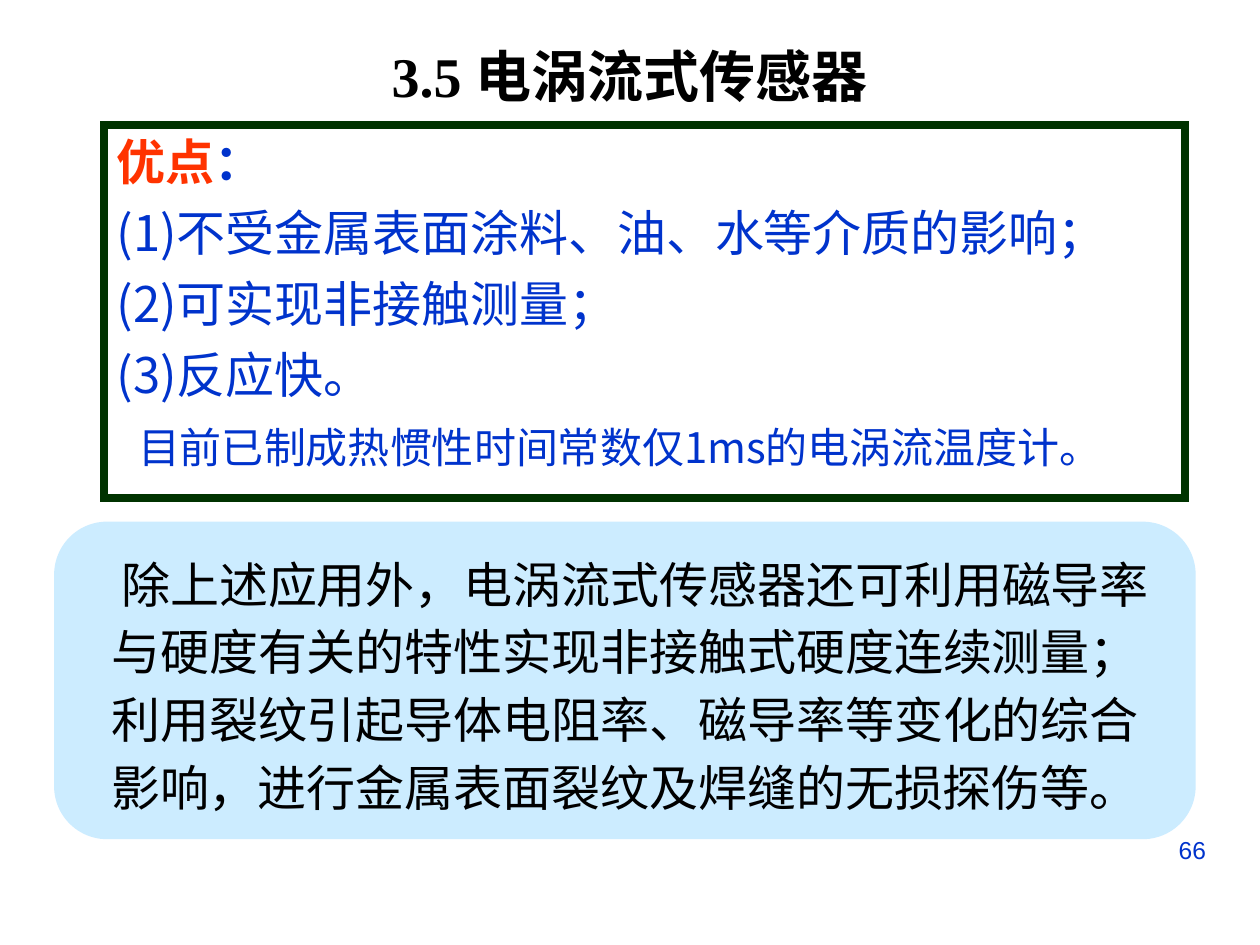
from dataclasses import dataclass

from pptx import Presentation
from pptx.dml.color import RGBColor
from pptx.enum.shapes import MSO_SHAPE
from pptx.enum.text import MSO_ANCHOR, MSO_AUTO_SIZE, PP_ALIGN
from pptx.oxml import parse_xml
from pptx.oxml.ns import nsdecls
from pptx.util import Inches, Pt


@dataclass(frozen=True)
class Theme:
    black: str = "000000"
    blue: str = "0033CC"
    red: str = "FF3300"
    green: str = "003300"
    pale_blue: str = "CCECFF"
    serif: str = "Times New Roman"
    sans: str = "Arial"
    chinese: str = "Noto Sans CJK SC"
    title: int = 32
    body: int = 28
    detail: int = 24
    number: int = 14


THEME = Theme()

# Content
TITLE = [("3.5 ", THEME.serif), ("电涡流式传感器", THEME.chinese)]
HEADING = [("优点", THEME.red), ("：", THEME.blue)]
ADVANTAGES = [
    "(1)不受金属表面涂料、油、水等介质的影响；",
    "(2)可实现非接触测量；",
    "(3)反应快。",
]
DETAIL = "目前已制成热惯性时间常数仅1ms的电涡流温度计。"
APPLICATIONS = (
    "除上述应用外，电涡流式传感器还可利用磁导率与硬度有关的特性实现非接触式硬度连续测量；"
    "利用裂纹引起导体电阻率、磁导率等变化的综合影响，进行金属表面裂纹及焊缝的无损探伤等。"
)
PAGE_NUMBER = "66"

# Places: left, top, width, height in inches
TITLE_AREA = (2.48, 0.28, 5.04, 0.64)
ADVANTAGES_AREA = (0.825, 0.99, 8.58, 2.96)
PANEL_AREA = (0.43, 4.14, 9.06, 2.52)
APPLICATIONS_AREA = (0.59, 4.28, 8.74, 2.25)
NUMBER_AREA = (7.17, 6.58, 2.5, 0.52)


def inches(area):
    return [Inches(length) for length in area]


def place(box, area):
    box.left, box.top, box.width, box.height = inches(area)


def prepare(box, side_margin=0.1):
    frame = box.text_frame
    frame.word_wrap = True
    frame.auto_size = MSO_AUTO_SIZE.NONE
    frame.vertical_anchor = MSO_ANCHOR.TOP
    frame.margin_left = frame.margin_right = Inches(side_margin)
    return frame


def format_para(para, align=PP_ALIGN.LEFT, before=0, margin=0, indent=0):
    properties = para._p.get_or_add_pPr()
    properties.set("marL", str(Inches(margin)))
    properties.set("indent", str(Inches(indent)))
    properties.append(parse_xml(f"<a:buNone {nsdecls('a')}/>"))
    para.alignment = align
    para.space_before = Pt(before)


def add_span(para, text, size, color, font, bold=False):
    span = para.add_run()
    span.text = text
    span.font.size = Pt(size)
    span.font.bold = bold
    span.font.name = font
    span.font.color.rgb = RGBColor.from_string(color)
    east_asian = f'<a:ea {nsdecls("a")} typeface="{THEME.chinese}"/>'
    span.font._element.find("{*}latin").addnext(parse_xml(east_asian))


def add_title(page):
    box = page.shapes.title
    place(box, TITLE_AREA)
    para = prepare(box).paragraphs[0]
    format_para(para, PP_ALIGN.CENTER)
    for text, font in TITLE:
        add_span(para, text, THEME.title, THEME.black, font, bold=True)


def add_advantages(page):
    box = page.placeholders[1]
    place(box, ADVANTAGES_AREA)
    box.line.color.rgb = RGBColor.from_string(THEME.green)
    box.line.width = Pt(4.5)
    # Square corners on the frame
    square_join = f'<a:miter {nsdecls("a")} lim="800000"/>'
    box.line._ln.append(parse_xml(square_join))
    frame = prepare(box)
    heading = frame.paragraphs[0]
    format_para(heading)
    for text, color in HEADING:
        add_span(heading, text, THEME.body, color, THEME.chinese, bold=True)
    for text in ADVANTAGES:
        para = frame.add_paragraph()
        format_para(para, before=7)
        add_span(para, text, THEME.body, THEME.blue, THEME.chinese)
    detail = frame.add_paragraph()
    format_para(detail, before=10.5, margin=0.17)
    add_span(detail, DETAIL, THEME.detail, THEME.blue, THEME.chinese)


def add_panel(page):
    panel = page.shapes.add_shape(MSO_SHAPE.ROUNDED_RECTANGLE, *inches(PANEL_AREA))
    panel.shadow.inherit = False
    panel.fill.solid()
    panel.fill.fore_color.rgb = RGBColor.from_string(THEME.pale_blue)
    panel.line.fill.background()


def add_text(page, area, text, size, color, align, indent=0, side_margin=0.1):
    box = page.shapes.add_textbox(*inches(area))
    para = prepare(box, side_margin).paragraphs[0]
    format_para(para, align, indent=indent)
    add_span(para, text, size, color, THEME.sans)
    return para


def main():
    deck = Presentation()
    deck.slide_width, deck.slide_height = Inches(10), Inches(7.5)
    page = deck.slides.add_slide(deck.slide_layouts[1])

    # Title and framed list
    add_title(page)
    add_advantages(page)

    # Further applications on a rounded panel
    add_panel(page)
    applications = add_text(page, APPLICATIONS_AREA, APPLICATIONS, THEME.body,
                            THEME.black, PP_ALIGN.CENTER, indent=0.16, side_margin=0.2)
    applications.line_spacing = 1.15

    # Page number
    add_text(page, NUMBER_AREA, PAGE_NUMBER, THEME.number, THEME.blue, PP_ALIGN.RIGHT)

    deck.save("out.pptx")


if __name__ == "__main__":
    main()
